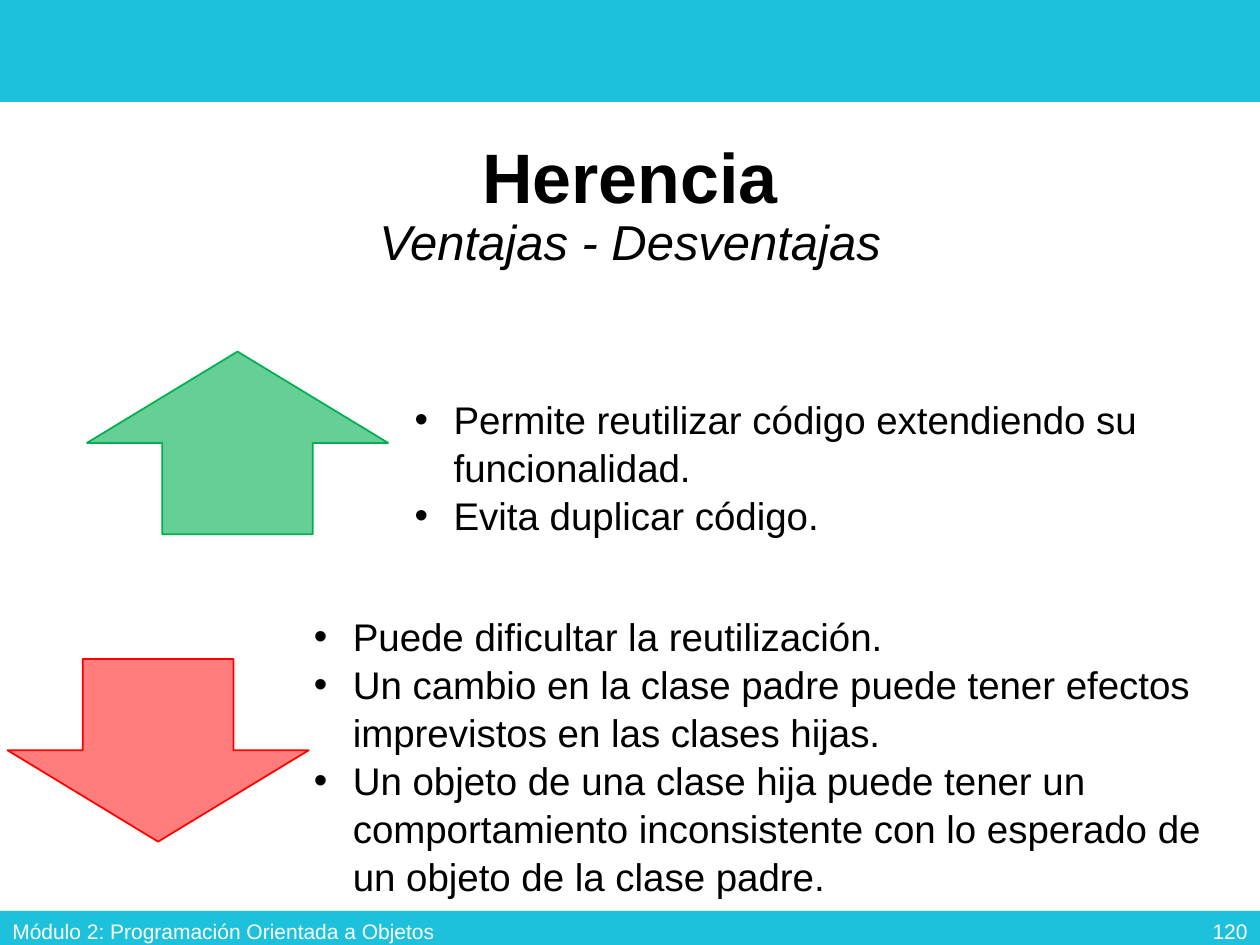
from dataclasses import dataclass

from lxml.etree import SubElement
from pptx import Presentation
from pptx.dml.color import RGBColor
from pptx.enum.shapes import MSO_SHAPE
from pptx.enum.text import MSO_ANCHOR, MSO_AUTO_SIZE, PP_ALIGN
from pptx.oxml.ns import qn
from pptx.util import Inches, Pt

CYAN, BLACK, WHITE = "1DC1DC", "000000", "FFFFFF"
TITLE_FORMAT = {"size": Pt(40), "bold": True, "italic": False}
SUBTITLE_FORMAT = {"size": Pt(28), "bold": False, "italic": True}
LIST_FORMAT = {"size": Pt(22)}
FOOTER_FORMAT = {"size": Pt(12)}
LIST_INDENT = Inches(0.31)


@dataclass
class Box:
    left: float
    top: float
    width: float
    height: float

    def lengths(self) -> list:
        return [Inches(v) for v in (self.left, self.top, self.width, self.height)]


@dataclass
class Argument:
    """One side of the comparison: an arrow and its list."""
    arrow: MSO_SHAPE
    color: str
    opacity: int
    arrow_box: Box
    list_box: Box
    points: list[str]


ARGUMENTS = [
    Argument(MSO_SHAPE.UP_ARROW, "00B050", 60,
             Box(0.69, 2.79, 2.39, 1.45), Box(3.19, 3.08, 6.46, 1.21),
             ["Permite reutilizar código extendiendo su funcionalidad.",
              "Evita duplicar código."]),
    Argument(MSO_SHAPE.DOWN_ARROW, "FF0000", 51,
             Box(0.06, 5.23, 2.39, 1.45), Box(2.39, 4.8, 7.25, 2.32),
             ["Puede dificultar la reutilización.",
              "Un cambio en la clase padre puede tener efectos imprevistos "
              "en las clases hijas.",
              "Un objeto de una clase hija puede tener un comportamiento "
              "inconsistente con lo esperado de un objeto de la clase padre."]),
]


def rgb(color: str) -> RGBColor:
    return RGBColor.from_string(color)


def set_font(font, color: str, values: dict) -> None:
    for name, value in {"name": "Arial", **values}.items():
        setattr(font, name, value)
    font.color.rgb = rgb(color)


def place(shape, box: Box) -> None:
    for name, value in zip(("left", "top", "width", "height"), box.lengths()):
        setattr(shape, name, value)


def set_frame(frame, anchor: MSO_ANCHOR) -> None:
    frame.word_wrap = True
    frame.auto_size = MSO_AUTO_SIZE.NONE
    frame.vertical_anchor = anchor


def add_filled(slide, kind: MSO_SHAPE, box: Box, color: str):
    shape = slide.shapes.add_shape(kind, *box.lengths())
    shape.shadow.inherit = False
    shape.fill.solid()
    shape.fill.fore_color.rgb = rgb(color)
    shape.line.fill.background()
    return shape


def fill_title(title) -> None:
    place(title, Box(0.69, 0.98, 8.62, 1.33))
    set_frame(title.text_frame, MSO_ANCHOR.MIDDLE)
    heading = title.text_frame.paragraphs[0]
    heading.alignment = PP_ALIGN.CENTER
    heading.line_spacing = 0.9
    topic = heading.add_run()
    topic.text = "Herencia"
    set_font(topic.font, BLACK, TITLE_FORMAT)
    heading.add_line_break()
    subtitle = heading.add_run()
    subtitle.text = "Ventajas - Desventajas"
    set_font(subtitle.font, BLACK, SUBTITLE_FORMAT)


def add_arrow(slide, argument: Argument) -> None:
    arrow = add_filled(slide, argument.arrow, argument.arrow_box, argument.color)
    arrow.line.color.rgb = rgb(argument.color)
    arrow.line.width = Pt(1)
    fill_color = arrow.fill._xPr.find(qn("a:solidFill"))[0]
    SubElement(fill_color, qn("a:alpha"), val=str(argument.opacity * 1000))


def fill_list(body, argument: Argument) -> None:
    place(body, argument.list_box)
    set_frame(body.text_frame, MSO_ANCHOR.TOP)
    body.text_frame.text = "\n".join(argument.points)
    for point in body.text_frame.paragraphs:
        properties = point._p.get_or_add_pPr()
        properties.set("marL", str(LIST_INDENT))
        properties.set("indent", str(-LIST_INDENT))
        SubElement(properties, qn("a:buFont"), typeface="Arial")
        SubElement(properties, qn("a:buChar"), char="•")
        point.space_before = Pt(0)
        point.line_spacing = 1.04
        set_font(point.runs[0].font, BLACK, LIST_FORMAT)


def add_footer(slide, text: str, box: Box, alignment: PP_ALIGN) -> None:
    footer = slide.shapes.add_textbox(*box.lengths())
    set_frame(footer.text_frame, MSO_ANCHOR.MIDDLE)
    line = footer.text_frame.paragraphs[0]
    line.text = text
    line.alignment = alignment
    set_font(line.runs[0].font, WHITE, FOOTER_FORMAT)


def main() -> None:
    presentation = Presentation()
    presentation.slide_width, presentation.slide_height = Inches(10), Inches(7.5)
    # Two Content layout: a title and two lists
    slide = presentation.slides.add_slide(presentation.slide_layouts[3])
    title, *bodies = slide.placeholders

    # Header and footer bands
    for band in (Box(0, 0, 10, 0.81), Box(0, 7.23, 10, 0.31)):
        add_filled(slide, MSO_SHAPE.RECTANGLE, band, CYAN)

    fill_title(title)

    # Advantages and disadvantages
    for argument, body in zip(ARGUMENTS, bodies):
        add_arrow(slide, argument)
        fill_list(body, argument)

    # Footer texts
    add_footer(slide, "Módulo 2: Programación Orientada a Objetos",
               Box(0, 7.19, 3.73, 0.4), PP_ALIGN.LEFT)
    add_footer(slide, "120", Box(7.75, 7.19, 2.25, 0.4), PP_ALIGN.RIGHT)

    presentation.save("out.pptx")


if __name__ == "__main__":
    main()
